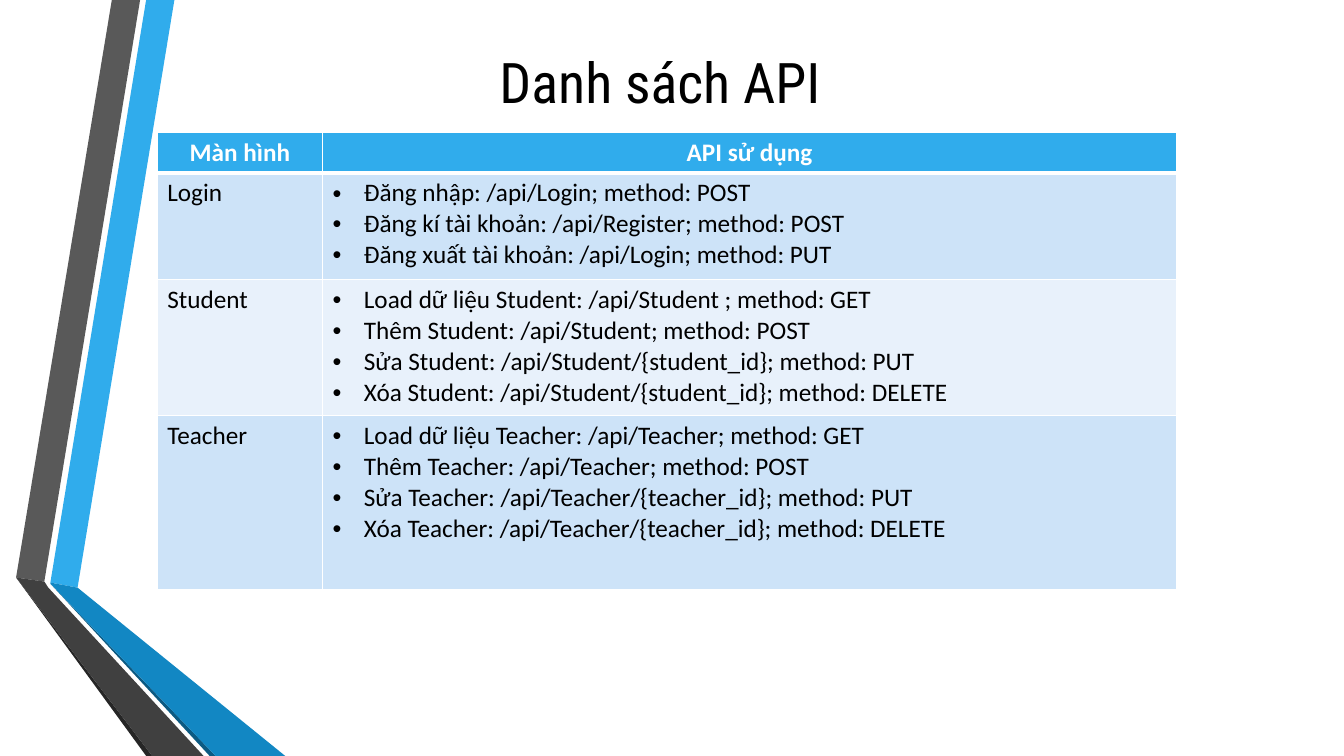
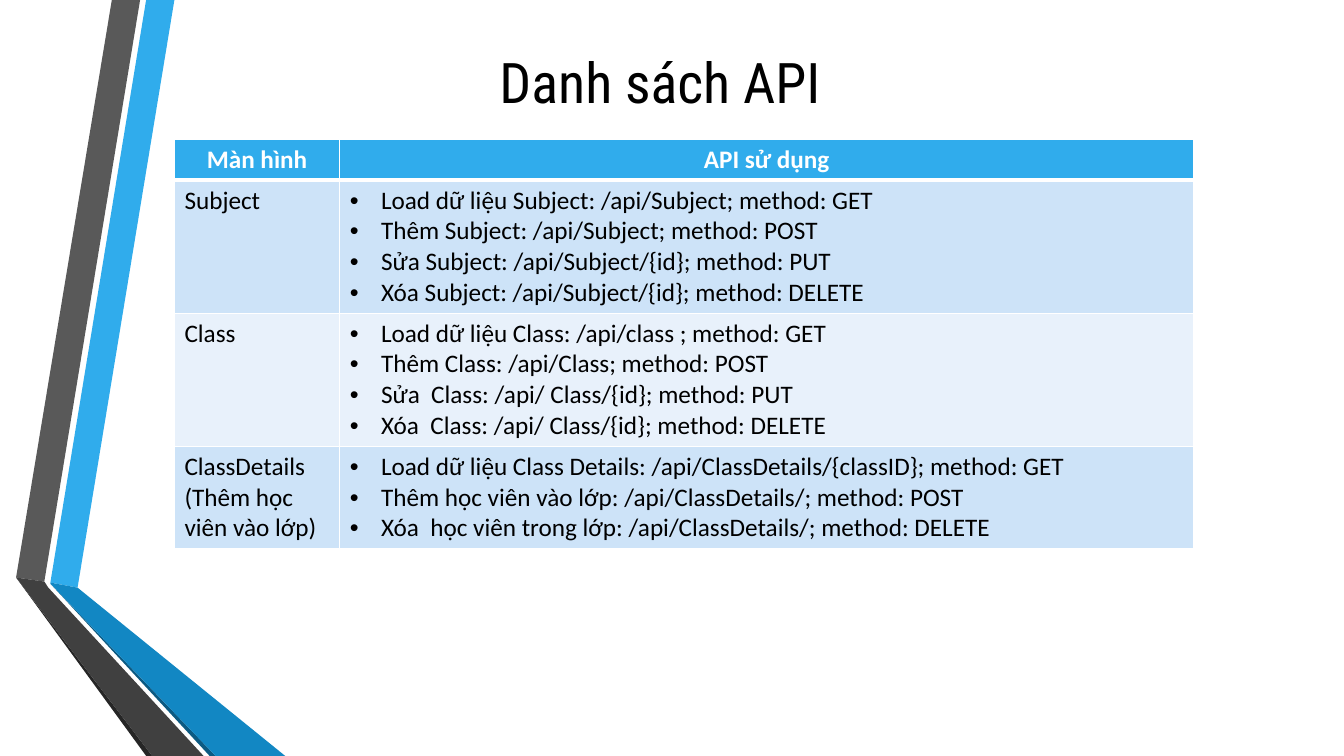
from dataclasses import dataclass

from lxml.etree import SubElement as Sub
from pptx import Presentation
from pptx.dml.color import RGBColor as Rgb
from pptx.enum.text import MSO_ANCHOR as Anchor, MSO_AUTO_SIZE as Fit, PP_ALIGN as Align
from pptx.oxml import parse_xml
from pptx.oxml.ns import nsdecls, qn
from pptx.util import Inches, Pt

UNIT = Inches(0.01)  # the slide is a grid of 1333 by 750 units
WIDE, HIGH = 1333, 750
HEX = {
    "blue": "30ACEC", "ocean": "1287C3", "navy": "0C5A82",
    "gray": "595959", "dark": "404040", "coal": "262626",
    "odd": "CDE3F8", "even": "E8F1FB", "white": "FFFFFF", "black": "000000",
}
HEADS = ("Màn hình", "API sử dụng")
COLS = (164, 847)
INDENT = 31


@dataclass
class Band:
    color: str
    points: list[tuple[int, int]]


@dataclass
class Row:
    name: str
    calls: list[str]
    high: int


@dataclass
class Page:
    left: int
    top: int
    rows: list[Row]


BANDS = [
    Band("blue", [(50, 578), (77, 583), (173, 0), (145, 0)]),
    Band("gray", [(139, 0), (111, 0), (16, 573), (44, 577)]),
    Band("coal", [(16, 573), (145, 750), (151, 750)]),
    Band("navy", [(50, 579), (208, 750), (214, 750)]),
    Band("ocean", [(50, 579), (214, 750), (283, 750), (77, 583), (50, 578)]),
    Band("dark", [(202, 750), (48, 583), (44, 577), (16, 573), (151, 750)]),
]

PAGES = [
    Page(156, 131, [
        Row("Login", [
            "Đăng nhập: /api/Login; method: POST",
            "Đăng kí tài khoản: /api/Register; method: POST",
            "Đăng xuất tài khoản: /api/Login; method: PUT",
        ], 106),
        Row("Student", [
            "Load dữ liệu Student: /api/Student ; method: GET",
            "Thêm Student: /api/Student; method: POST",
            "Sửa Student: /api/Student/{student_id}; method: PUT",
            "Xóa Student: /api/Student/{student_id}; method: DELETE",
        ], 135),
        Row("Teacher", [
            "Load dữ liệu Teacher: /api/Teacher; method: GET",
            "Thêm Teacher: /api/Teacher; method: POST",
            "Sửa Teacher: /api/Teacher/{teacher_id}; method: PUT",
            "Xóa Teacher: /api/Teacher/{teacher_id}; method: DELETE",
        ], 172),
    ]),
    Page(173, 138, [
        Row("Subject", [
            "Load dữ liệu Subject: /api/Subject; method: GET",
            "Thêm Subject: /api/Subject; method: POST",
            "Sửa Subject: /api/Subject/{id}; method: PUT",
            "Xóa Subject: /api/Subject/{id}; method: DELETE",
        ], 132),
        Row("Class", [
            "Load dữ liệu Class: /api/class ; method: GET",
            "Thêm Class: /api/Class; method: POST",
            "Sửa  Class: /api/ Class/{id}; method: PUT",
            "Xóa  Class: /api/ Class/{id}; method: DELETE",
        ], 132),
        Row("ClassDetails (Thêm học viên vào lớp)", [
            "Load dữ liệu Class Details: /api/ClassDetails/{classID}; method: GET",
            "Thêm học viên vào lớp: /api/ClassDetails/; method: POST",
            "Xóa  học viên trong lớp: /api/ClassDetails/; method: DELETE",
        ], 101),
    ]),
]


def rgb(name: str) -> Rgb:
    return Rgb.from_string(HEX[name])


def style(par, font: str, size: int, color: str, bold: bool = False) -> None:
    for run in par.runs:
        run.font.name, run.font.size, run.font.bold = font, Pt(size), bold
        run.font.color.rgb = rgb(color)


def draw_bands(slide, layout) -> None:
    """Build the bands on a slide, then move them to the layout all slides share."""
    for band in BANDS:
        pen = slide.shapes.build_freeform(*band.points[0], scale=UNIT)
        pen.add_line_segments(band.points[1:], close=True)
        shape = pen.convert_to_shape()
        shape.shadow.inherit = False
        shape.fill.solid()
        shape.fill.fore_color.rgb = rgb(band.color)
        shape.line.fill.background()
        layout.shapes.element.append(shape.element)


def place_title(layout) -> None:
    box = layout.placeholders[0]
    box.left, box.top, box.width, box.height = (n * UNIT for n in (401, 51, 520, 58))


def add_title(slide) -> None:
    frame = slide.shapes.title.text_frame
    frame.text = "Danh sách API "
    frame.auto_size = Fit.NONE
    frame.vertical_anchor = Anchor.MIDDLE
    frame.paragraphs[0].alignment = Align.CENTER
    style(frame.paragraphs[0], "Roboto Condensed", 40, "black")


def add_edges(cell, top: int, base: int) -> None:
    """Give a cell white borders, with the top and bottom widths in points."""
    props = cell._tc.get_or_add_tcPr()
    for i, (side, wide) in enumerate(zip("LRTB", (1, 1, top, base))):
        props.insert(i, parse_xml(
            f'<a:ln{side} {nsdecls("a")} w="{Pt(wide)}"><a:solidFill>'
            f'<a:srgbClr val="{HEX["white"]}"/></a:solidFill></a:ln{side}>'))


def add_bullet(par) -> None:
    props = par._p.get_or_add_pPr()
    props.set("marL", str(INDENT * UNIT))
    props.set("indent", str(-INDENT * UNIT))
    Sub(props, qn("a:buFont"), typeface="Arial")
    Sub(props, qn("a:buChar"), char="•")


def fill_cell(cell, text: str, row: int, listed: bool) -> None:
    head = row == 0
    cell.fill.solid()
    cell.fill.fore_color.rgb = rgb("blue" if head else "odd" if row % 2 else "even")
    add_edges(cell, top=3 if row == 1 else 1, base=3 if head else 1)
    cell.text_frame.text = text
    for par in cell.text_frame.paragraphs:
        par.alignment = Align.CENTER if head else Align.LEFT
        style(par, "Calibri", 18, "white" if head else "black", head)
        if listed:
            add_bullet(par)


def add_grid(slide, page: Page) -> None:
    highs = [40] + [row.high for row in page.rows]
    texts = [HEADS] + [(row.name, "\n".join(row.calls)) for row in page.rows]
    area = (page.left, page.top, sum(COLS), sum(highs))
    table = slide.shapes.add_table(
        len(highs), len(COLS), *(n * UNIT for n in area)).table
    for col, wide in zip(table.columns, COLS):
        col.width = wide * UNIT
    for r, (high, pair) in enumerate(zip(highs, texts)):
        table.rows[r].height = high * UNIT
        for c, text in enumerate(pair):
            fill_cell(table.cell(r, c), text, r, listed=r > 0 and c == 1)


def main() -> None:
    deck = Presentation()
    deck.slide_width, deck.slide_height = WIDE * UNIT, HIGH * UNIT
    layout = deck.slide_layouts[5]
    place_title(layout)
    for i, page in enumerate(PAGES):
        slide = deck.slides.add_slide(layout)
        if i == 0:
            draw_bands(slide, layout)
        add_title(slide)
        add_grid(slide, page)
    deck.save("out.pptx")


if __name__ == "__main__":
    main()
